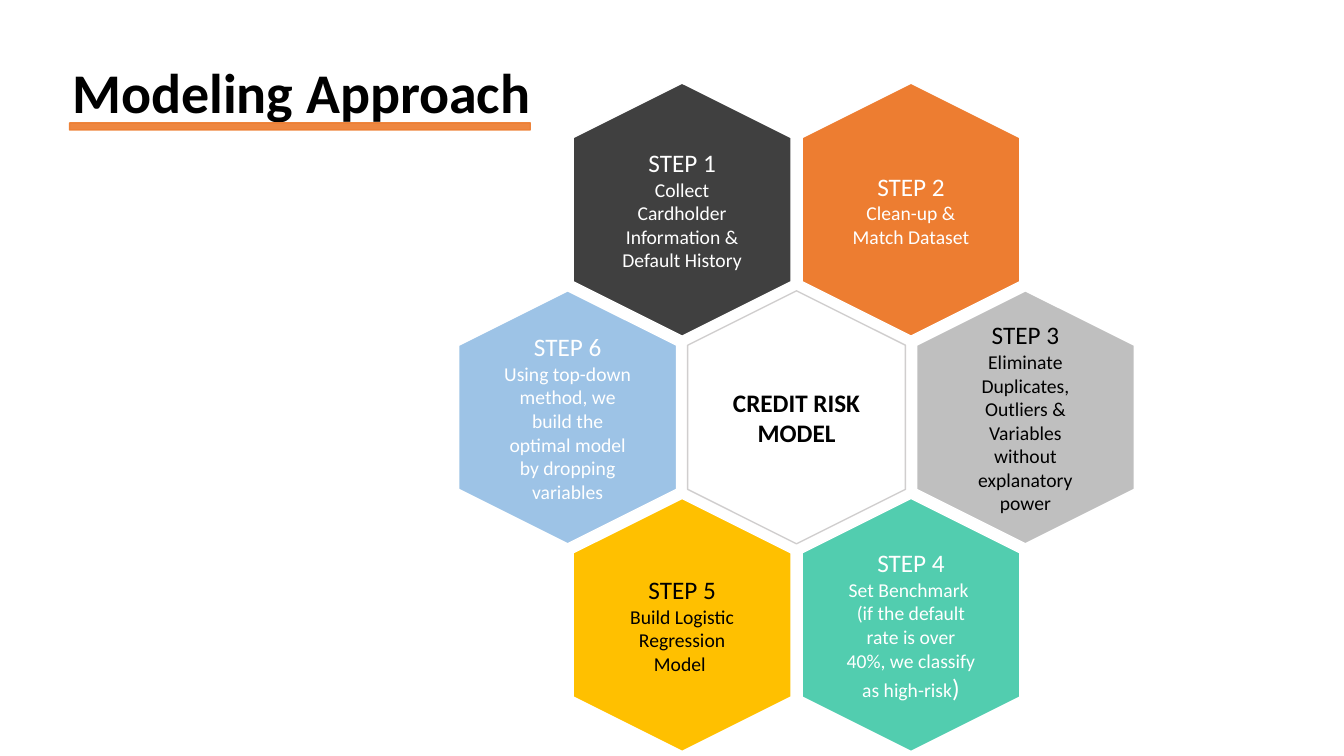
from lxml.etree import SubElement
from pptx import Presentation
from pptx.dml.color import RGBColor
from pptx.enum.shapes import MSO_SHAPE
from pptx.enum.text import MSO_ANCHOR, PP_ALIGN
from pptx.oxml.ns import qn
from pptx.util import Inches, Pt

COLORS = {
    "black": "000000", "white": "FFFFFF", "charcoal": "404040",
    "orange": "ED7D31", "gray": "BFBFBF", "teal": "52CDAF",
    "yellow": "FFC000", "blue": "9DC3E6", "outline": "D0CECE",
}
FONT = "Calibri"


class Deck:
    def __init__(self, prs):
        self.s = prs.slides.add_slide(prs.slide_layouts[6])

    def color(self, name):
        return RGBColor.from_string(COLORS[name])

    def style_run(self, r, size, color, bold=False):
        r.font.name, r.font.size, r.font.bold = FONT, Pt(size), bold
        r.font.color.rgb = self.color(color)

    def shape(self, kind, x, y, w, h, fill, line):
        sp = self.s.shapes.add_shape(kind, Inches(x), Inches(y), Inches(w), Inches(h))
        sp.shadow.inherit = False
        sp.fill.solid()
        sp.fill.fore_color.rgb = self.color(fill)
        sp.line.color.rgb = self.color(line)
        sp.line.width = Pt(1)
        return sp

    def hexagon(self, cx, cy, fill, line, color, paragraphs, bold=False):
        """Upright hexagon; paragraphs are lists of (text, size) runs."""
        w, h = 2.51, 2.16
        sp = self.shape(MSO_SHAPE.HEXAGON, cx - w / 2, cy - h / 2, w, h, fill, line)
        sp.rotation = 90
        tf = sp.text_frame
        tf.word_wrap = True
        tf.vertical_anchor = MSO_ANCHOR.MIDDLE
        # Turn the text back to horizontal
        tf._txBody.bodyPr.set("vert", "vert270")
        for i, runs in enumerate(paragraphs):
            p = tf.paragraphs[0] if i == 0 else tf.add_paragraph()
            p.alignment = PP_ALIGN.CENTER
            for text, size in runs:
                r = p.add_run()
                r.text = text
                self.style_run(r, size, color, bold)

    def title(self, text, x, y, w, h):
        tf = self.s.shapes.add_textbox(Inches(x), Inches(y), Inches(w), Inches(h)).text_frame
        tf.word_wrap = True
        tf.text = text
        self.style_run(tf.paragraphs[0].runs[0], 40, "black", bold=True)

    def bar(self, x, y, w, h, color, opacity):
        sp = self.shape(MSO_SHAPE.RECTANGLE, x, y, w, h, color, color)
        for clr in sp._element.spPr.iter(qn("a:srgbClr")):
            SubElement(clr, qn("a:alpha")).set("val", str(opacity * 1000))


prs = Presentation()
prs.slide_width, prs.slide_height = Inches(13.33), Inches(7.5)
deck = Deck(prs)

# Honeycomb: centre cell and the steps clockwise from the upper left
CENTER_X, CENTER_Y = 7.9, 4.14
PITCH_X, PITCH_Y = 2.27, 2.06
deck.hexagon(CENTER_X, CENTER_Y, "white", "outline", "black",
             [[("CREDIT RISK MODEL", 18)]], bold=True)

# Column and row offsets in pitches, fill, text colour, paragraphs of runs
steps = [
    (-0.5, -1, "charcoal", "white",
     [[("Collect Cardholder Information\u00a0& Default History", 14)]]),
    (0.5, -1, "orange", "white", [[("Clean-up & Match Dataset", 14)]]),
    (1, 0, "gray", "black",
     [[("Eliminate Duplicates, Outliers & Variables without explanatory power", 14)]]),
    (0.5, 1, "teal", "white",
     [[("Set Benchmark\u00a0", 14)],
      [("(if the default rate is over 40%, we classify as high-risk", 14), (")", 18)]]),
    (-0.5, 1, "yellow", "black", [[("Build Logistic Regression Model\u00a0", 14)]]),
    (-1, 0, "blue", "white",
     [[("Using top-down method, we build the optimal\u00a0model by dropping variables", 14)]]),
]
for number, (col, row, fill, color, body) in enumerate(steps, 1):
    deck.hexagon(CENTER_X + col * PITCH_X, CENTER_Y + row * PITCH_Y, fill, "white",
                 color, [[(f"STEP {number}", 18)]] + body)

# Title and underline
deck.title("Modeling\u00a0Approach", 0.62, 0.52, 4.86, 0.77)
deck.bar(0.69, 1.22, 4.57, 0.07, "orange", 92)

prs.save("out.pptx")
